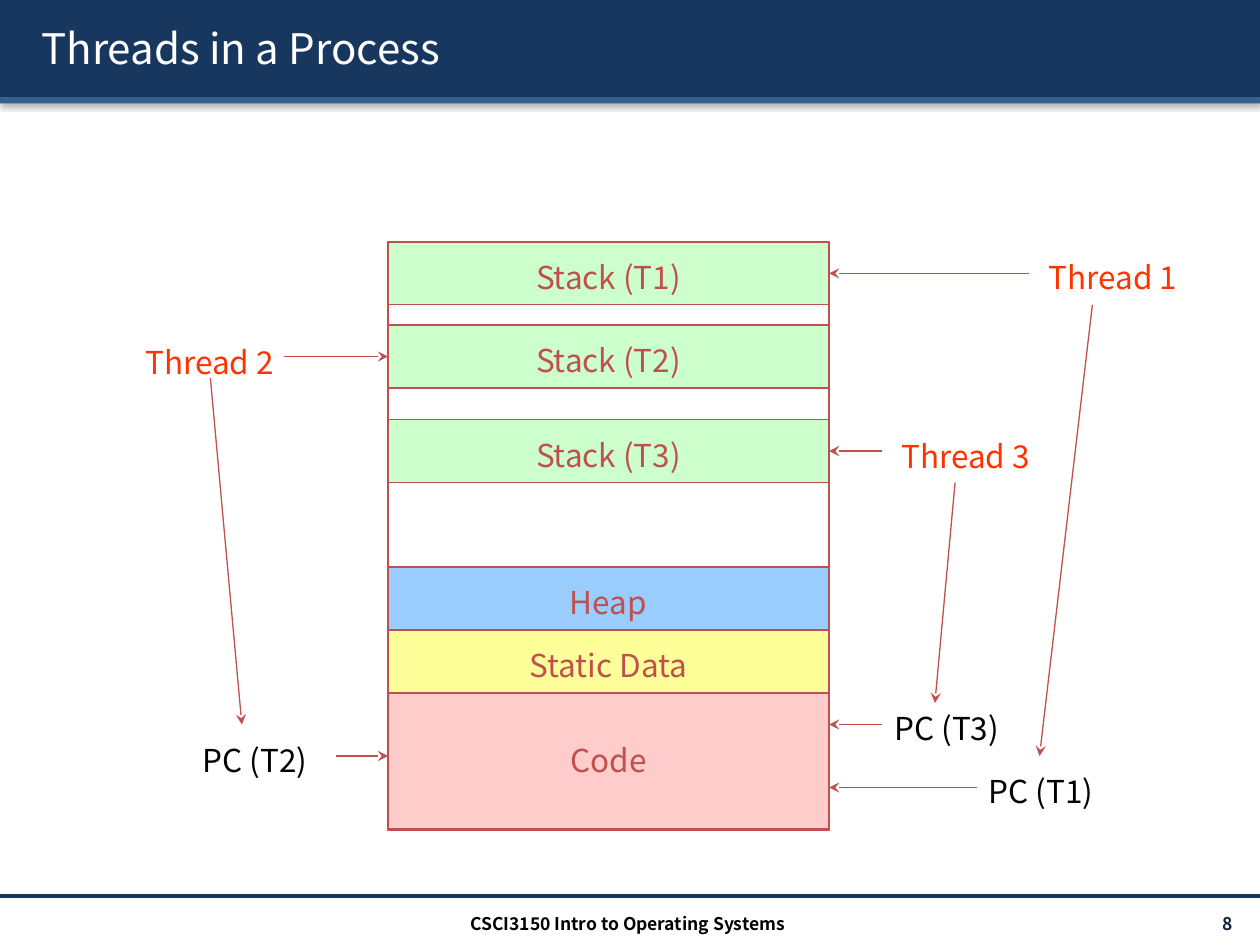
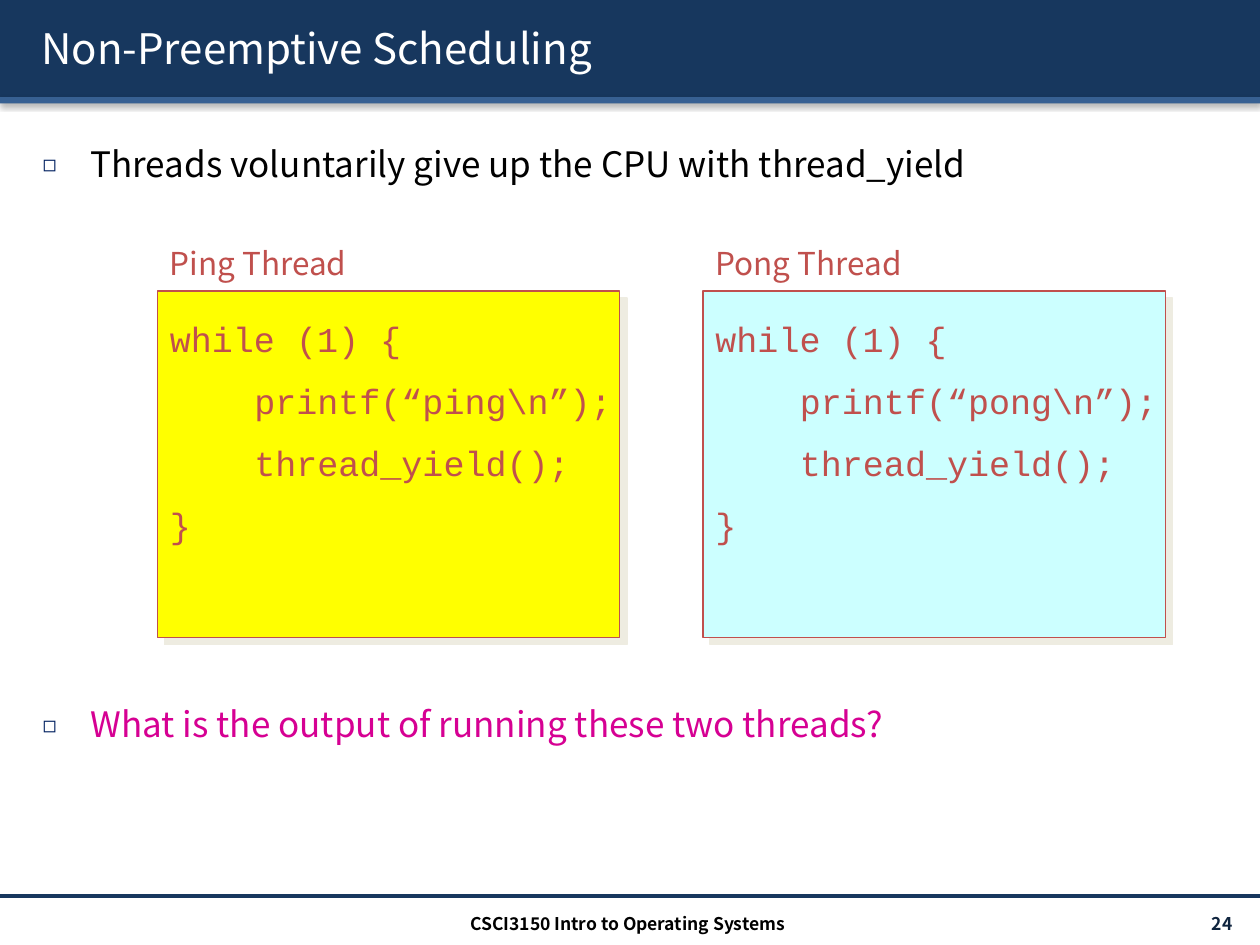
from dataclasses import dataclass

import lxml.etree
import pptx
import pptx.dml.color
import pptx.enum.shapes
import pptx.enum.text
import pptx.oxml.ns
import pptx.util

Inches = pptx.util.Inches
Pt = pptx.util.Pt
Align = pptx.enum.text.PP_ALIGN
Anchor = pptx.enum.text.MSO_ANCHOR

SANS = "Noto Sans CJK KR"
MONO = "Courier New"
COURSE = "CSCI3150 Intro to Operating Systems"
COLORS = {
    "navy": "17375E", "steel": "376092", "page number": "0F243E",
    "bullet": "002060", "white": "FFFFFF", "black": "000000",
    "brick": "C0504D", "thread": "FF3300", "question": "D60093",
    "stack": "CCFFCC", "heap": "99CCFF", "data": "FFFF99", "code": "FFCCCC",
    "ping": "FFFF00", "pong": "CCFFFF", "cream": "EEECE1",
}


@dataclass(frozen=True)
class Style:
    size: float = 18
    color: str = "brick"
    font: str = SANS
    bold: bool = False
    align: Align = Align.LEFT
    anchor: Anchor = Anchor.TOP
    fit: bool = True


@dataclass(frozen=True)
class Shadow:
    color: str
    opacity: int
    blur: float
    distance: float
    angle: int


@dataclass(frozen=True)
class Segment:
    """A part of the process memory, with its label below the part's top."""
    name: str
    top: float
    fill: str
    height: float = 0.5
    label_offset: float = 0.08


@dataclass(frozen=True)
class Label:
    text: str
    left: float
    top: float
    width: float
    style: Style


@dataclass(frozen=True)
class Arrow:
    start: tuple[float, float]
    tip: tuple[float, float]


@dataclass(frozen=True)
class Program:
    name: str
    word: str
    left: float
    fill: str


TITLE = Style(24, "white", anchor=Anchor.MIDDLE, fit=False)
FOOTER = Style(10, "black", bold=True, align=Align.CENTER, fit=False)
PAGE_NUMBER = Style(10, "page number", bold=True, align=Align.RIGHT,
                    anchor=Anchor.MIDDLE, fit=False)
PLAIN = Style()
CENTERED = Style(align=Align.CENTER)
THREAD = Style(color="thread", align=Align.CENTER)
COUNTER = Style(color="black")
CODE = Style(20, font=MONO)
BAND_SHADOW = Shadow("black", 38, 3.1, 1.6, 90)
PANEL_SHADOW = Shadow("cream", 100, 0, 5.7, 45)
TITLE_SHADOW = Shadow("black", 100, 0, 1.5, 45)

MEMORY_LEFT, MEMORY_WIDTH = 3.08, 3.5
MEMORY_RIGHT = MEMORY_LEFT + MEMORY_WIDTH
LINE_HEIGHT = 0.4
CODE_INDENT = 0.67

SEGMENTS = [
    Segment("Stack (T1)", 1.92, "stack"),
    Segment("Stack (T2)", 2.58, "stack"),
    Segment("Stack (T3)", 3.33, "stack"),
    Segment("Code", 5.5, "code", 1.08, 0.33),
    Segment("Static Data", 5, "data"),
    Segment("Heap", 4.5, "heap"),
]
LABELS = [
    Label("Thread 1", 7.92, 2, 1.83, THREAD),
    Label("Thread 2", 0.75, 2.67, 1.83, THREAD),
    Label("Thread 3", 6.75, 3.42, 1.83, THREAD),
    Label("PC (T1)", 7.75, 6.08, 1.17, COUNTER),
    Label("PC (T2)", 1.51, 5.83, 1.16, COUNTER),
    Label("PC (T3)", 7, 5.58, 1.25, COUNTER),
]
ARROWS = [
    Arrow((8.17, 2.17), (MEMORY_RIGHT, 2.17)),
    Arrow((2.25, 2.83), (MEMORY_LEFT, 2.83)),
    Arrow((7, 3.58), (MEMORY_RIGHT, 3.58)),
    Arrow((7.75, 6.25), (MEMORY_RIGHT, 6.25)),
    Arrow((2.67, 6), (MEMORY_LEFT, 6)),
    Arrow((7, 5.75), (MEMORY_RIGHT, 5.75)),
    Arrow((8.67, 2.42), (8.25, 6)),
    Arrow((1.67, 3), (1.92, 5.75)),
    Arrow((7.58, 3.83), (7.42, 5.58)),
]
PROGRAMS = [
    Program("Ping Thread", "ping", 1.25, "ping"),
    Program("Pong Thread", "pong", 5.58, "pong"),
]


def rgb(name: str) -> pptx.dml.color.RGBColor:
    return pptx.dml.color.RGBColor.from_string(COLORS[name])


def add_xml(parent, tag: str, **attributes):
    element = lxml.etree.SubElement(parent, pptx.oxml.ns.qn(tag))
    for name, value in attributes.items():
        element.set(name, str(value))
    return element


def shadow_xml(shadow: Shadow):
    effects = lxml.etree.Element(pptx.oxml.ns.qn("a:effectLst"))
    outer = add_xml(effects, "a:outerShdw", blurRad=Pt(shadow.blur),
                    dist=Pt(shadow.distance), dir=shadow.angle * 60000,
                    algn="ctr", rotWithShape=0)
    color = add_xml(outer, "a:srgbClr", val=COLORS[shadow.color])
    add_xml(color, "a:alpha", val=shadow.opacity * 1000)
    return effects


def add_rectangle(page, left: float, top: float, width: float, height: float,
                  fill: str | None = None, line: str | None = None,
                  shadow: Shadow | None = None) -> None:
    box = page.shapes.add_shape(
        pptx.enum.shapes.MSO_SHAPE.RECTANGLE,
        Inches(left), Inches(top), Inches(width), Inches(height))
    box.shadow.inherit = False
    if fill:
        box.fill.solid()
        box.fill.fore_color.rgb = rgb(fill)
    else:
        box.fill.background()
    if line:
        box.line.color.rgb = rgb(line)
        box.line.width = Pt(0.75)
    else:
        box.line.fill.background()
    if shadow:
        properties = box.element.spPr
        properties.replace(properties.find(pptx.oxml.ns.qn("a:effectLst")),
                           shadow_xml(shadow))


def add_line(page, start: tuple[float, float], end: tuple[float, float],
             color: str, width: float, arrow: bool = False) -> None:
    line = page.shapes.add_connector(
        pptx.enum.shapes.MSO_CONNECTOR.STRAIGHT,
        *(Inches(value) for value in (*start, *end)))
    line.line.color.rgb = rgb(color)
    line.line.width = Pt(width)
    if arrow:
        add_xml(line.line._get_or_add_ln(), "a:tailEnd", type="stealth")
    add_xml(line.element.spPr, "a:effectLst")


def add_span(para, text: str, style: Style):
    span = para.add_run()
    span.text = text
    span.font.name = style.font
    span.font.size = Pt(style.size)
    span.font.bold = style.bold
    span.font.color.rgb = rgb(style.color)
    return span


def add_text(page, left: float, top: float, width: float, height: float,
             style: Style, *lines: str):
    """Add a text box with one paragraph per line; a tab indents a line."""
    box = page.shapes.add_textbox(Inches(left), Inches(top),
                                  Inches(width), Inches(height))
    frame = box.text_frame
    frame.word_wrap = True
    frame.vertical_anchor = style.anchor
    frame.auto_size = (pptx.enum.text.MSO_AUTO_SIZE.SHAPE_TO_FIT_TEXT
                       if style.fit else pptx.enum.text.MSO_AUTO_SIZE.NONE)
    for index, line in enumerate(lines):
        para = frame.add_paragraph() if index else frame.paragraphs[0]
        para.alignment = style.align
        if index:
            para.space_before = Pt(11.4)
        if line.startswith("\t"):
            para._p.get_or_add_pPr().set("marL", str(Inches(CODE_INDENT)))
        add_span(para, line.strip(), style)
    return box


def add_bullet(page, top: float, text: str, color: str) -> None:
    box = add_text(page, 0.24, top, 8.27, 0.5,
                   Style(20, color, fit=False), text)
    properties = box.text_frame.paragraphs[0]._p.get_or_add_pPr()
    properties.set("marL", str(Inches(0.38)))
    properties.set("indent", str(Inches(-0.38)))
    add_xml(add_xml(properties, "a:buClr"), "a:srgbClr", val=COLORS["bullet"])
    add_xml(properties, "a:buSzPct", val=65000)
    add_xml(properties, "a:buFont", typeface=SANS)
    add_xml(properties, "a:buChar", char="◻")


def add_page(deck, title: str, number: int):
    """Add a slide with the title bands and the footer."""
    page = deck.slides.add_slide(deck.slide_layouts[6])
    add_rectangle(page, 0, 0, 10, 0.77, "navy", shadow=BAND_SHADOW)
    add_rectangle(page, 0, 0.77, 10, 0.05, "steel", shadow=BAND_SHADOW)
    add_line(page, (0, 7.11), (10, 7.11), "navy", 2)
    box = add_text(page, 0.23, 0.06, 9.61, 0.64, TITLE, title)
    span = box.text_frame.paragraphs[0].runs[0]
    fill = span.font._element.find(pptx.oxml.ns.qn("a:solidFill"))
    fill.addnext(shadow_xml(TITLE_SHADOW))
    add_text(page, 8.71, 7.21, 1.17, 0.24, PAGE_NUMBER, str(number))
    add_text(page, 3.32, 7.2, 3.32, 0.24, FOOTER, COURSE)
    return page


def build_memory_page(deck) -> None:
    page = add_page(deck, "Threads in a Process", 8)
    add_rectangle(page, MEMORY_LEFT, 1.92, MEMORY_WIDTH, 4.67, line="brick")
    for segment in SEGMENTS:
        add_rectangle(page, MEMORY_LEFT, segment.top, MEMORY_WIDTH,
                      segment.height, segment.fill, "brick")
        add_text(page, MEMORY_LEFT, segment.top + segment.label_offset,
                 MEMORY_WIDTH, LINE_HEIGHT, CENTERED, segment.name)
    for label in LABELS:
        add_text(page, label.left, label.top, label.width, LINE_HEIGHT,
                 label.style, label.text)
    for arrow in ARROWS:
        add_line(page, arrow.start, arrow.tip, "brick", 0.75, arrow=True)


def build_scheduling_page(deck) -> None:
    page = add_page(deck, "Non-Preemptive Scheduling", 24)
    add_bullet(page, 1.08,
               "Threads voluntarily give up the CPU with thread_yield", "black")
    add_bullet(page, 5.53,
               "What is the output of running these two threads?", "question")
    for program in PROGRAMS:
        add_rectangle(page, program.left, 2.31, 3.67, 2.75, program.fill,
                      "brick", PANEL_SHADOW)
        add_text(page, program.left, 2.47, 3.78, 1.95, CODE,
                 "while (1) {", f"\tprintf(“{program.word}\\n”);",
                 "\tthread_yield();", "}")
        add_text(page, program.left, 1.89, 1.83, LINE_HEIGHT, PLAIN,
                 program.name)


def main() -> None:
    deck = pptx.Presentation()
    deck.slide_width = Inches(10)
    deck.slide_height = Inches(7.5)
    build_memory_page(deck)
    build_scheduling_page(deck)
    deck.save("out.pptx")


if __name__ == "__main__":
    main()
